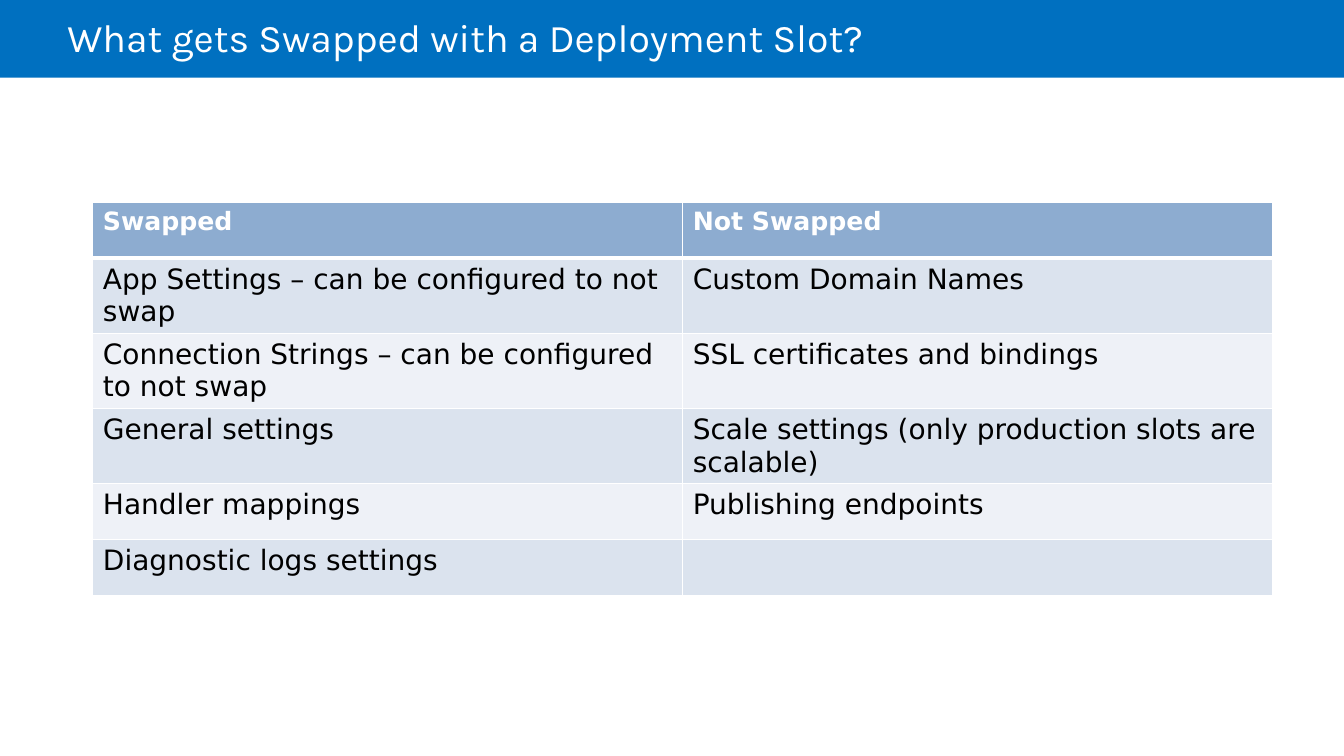
"""Build a slide comparing what is and is not swapped with a deployment slot."""
from lxml import etree
from pptx import Presentation
from pptx.dml.color import RGBColor
from pptx.enum.shapes import MSO_SHAPE
from pptx.enum.text import MSO_ANCHOR, MSO_AUTO_SIZE, PP_ALIGN
from pptx.oxml.ns import qn
from pptx.util import Cm, Pt

RECT = MSO_SHAPE.RECTANGLE
MIDDLE = MSO_ANCHOR.MIDDLE
NO_FIT = MSO_AUTO_SIZE.NONE
LEFT = PP_ALIGN.LEFT

COLORS = {
    "banner": "0070C0",
    "white": "FFFFFF",
    "black": "000000",
    "header": "8DACD0",
    "odd": "DBE3EE",
    "even": "EEF1F7",
}
ROWS = [
    ("Swapped", "Not Swapped"),
    ("App Settings – can be configured to not swap", "Custom Domain Names"),
    ("Connection Strings – can be configured to not swap", "SSL certificates and bindings"),
    ("General settings", "Scale settings (only production slots are scalable)"),
    ("Handler mappings", "Publishing endpoints"),
    ("Diagnostic logs settings", ""),
]


def write(tf, text, font="DejaVu Sans", size=20, color="black", bold=False, spacing=1.0):
    p = tf.paragraphs[0]
    p.alignment = LEFT
    p.line_spacing = spacing
    p.font.size = Pt(size)
    if text:
        r = p.add_run()
        r.text = text
        r.font.name = font
        r.font.size = Pt(size)
        r.font.bold = bold
        r.font.color.rgb = RGBColor.from_string(COLORS[color])


def add_border(cell, side, width):
    ln = etree.SubElement(cell._tc.get_or_add_tcPr(), qn(f"a:ln{side}"), w=str(Pt(width)))
    fill = etree.SubElement(ln, qn("a:solidFill"))
    etree.SubElement(fill, qn("a:srgbClr"), val=COLORS["white"])


prs = Presentation()
prs.slide_width, prs.slide_height = Cm(33.87), Cm(19.05)
s = prs.slides.add_slide(prs.slide_layouts[5])

title = s.shapes.title
title.left, title.top, title.width, title.height = Cm(1.7), Cm(0), Cm(28.8), Cm(2.06)
tf = title.text_frame
tf.word_wrap = True
tf.auto_size = NO_FIT
tf.vertical_anchor = MIDDLE
tf.margin_left = Cm(0)
write(tf, "What gets Swapped with a Deployment Slot?", font="Karla", size=28,
      color="white", spacing=0.85)

banner = s.shapes.add_shape(RECT, Cm(0), Cm(0), prs.slide_width, Cm(1.96))
banner.shadow.inherit = False
banner.fill.solid()
banner.fill.fore_color.rgb = RGBColor.from_string(COLORS["banner"])
banner.line.fill.background()
title.element.addprevious(banner.element)

row_height = Cm(1.41)
table = s.shapes.add_table(len(ROWS), 2, Cm(2.34), Cm(5.09), Cm(29.73),
                           row_height * len(ROWS)).table
for i, texts in enumerate(ROWS):
    table.rows[i].height = row_height
    header = i == 0
    band = "header" if header else "odd" if i % 2 else "even"
    for j, text in enumerate(texts):
        cell = table.cell(i, j)
        for side in "LRTB":
            thick = (header and side == "B") or (i == 1 and side == "T")
            add_border(cell, side, 3 if thick else 1)
        cell.fill.solid()
        cell.fill.fore_color.rgb = RGBColor.from_string(COLORS[band])
        write(cell.text_frame, text, size=18 if header else 20,
              color="white" if header else "black", bold=header)

prs.save("out.pptx")
